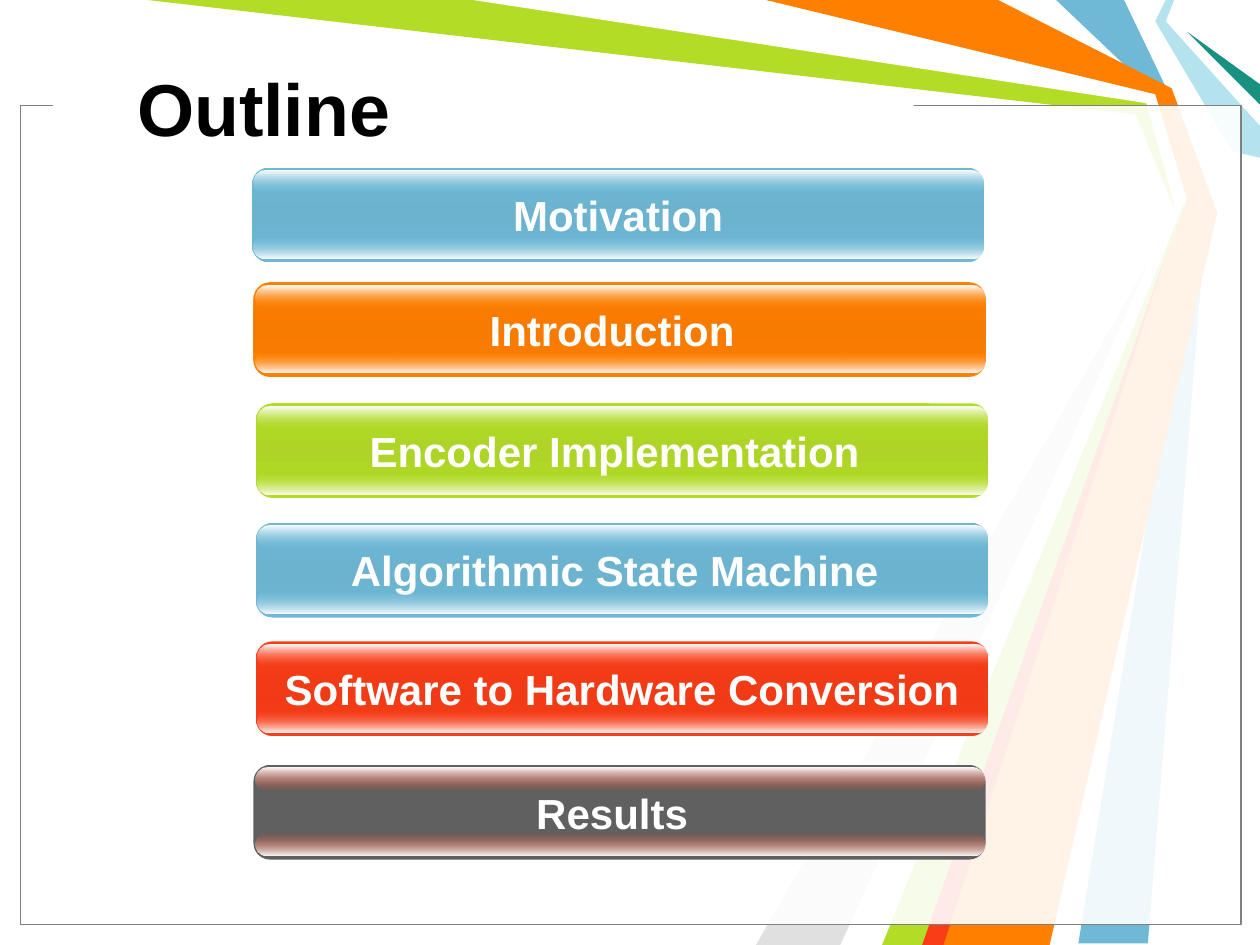
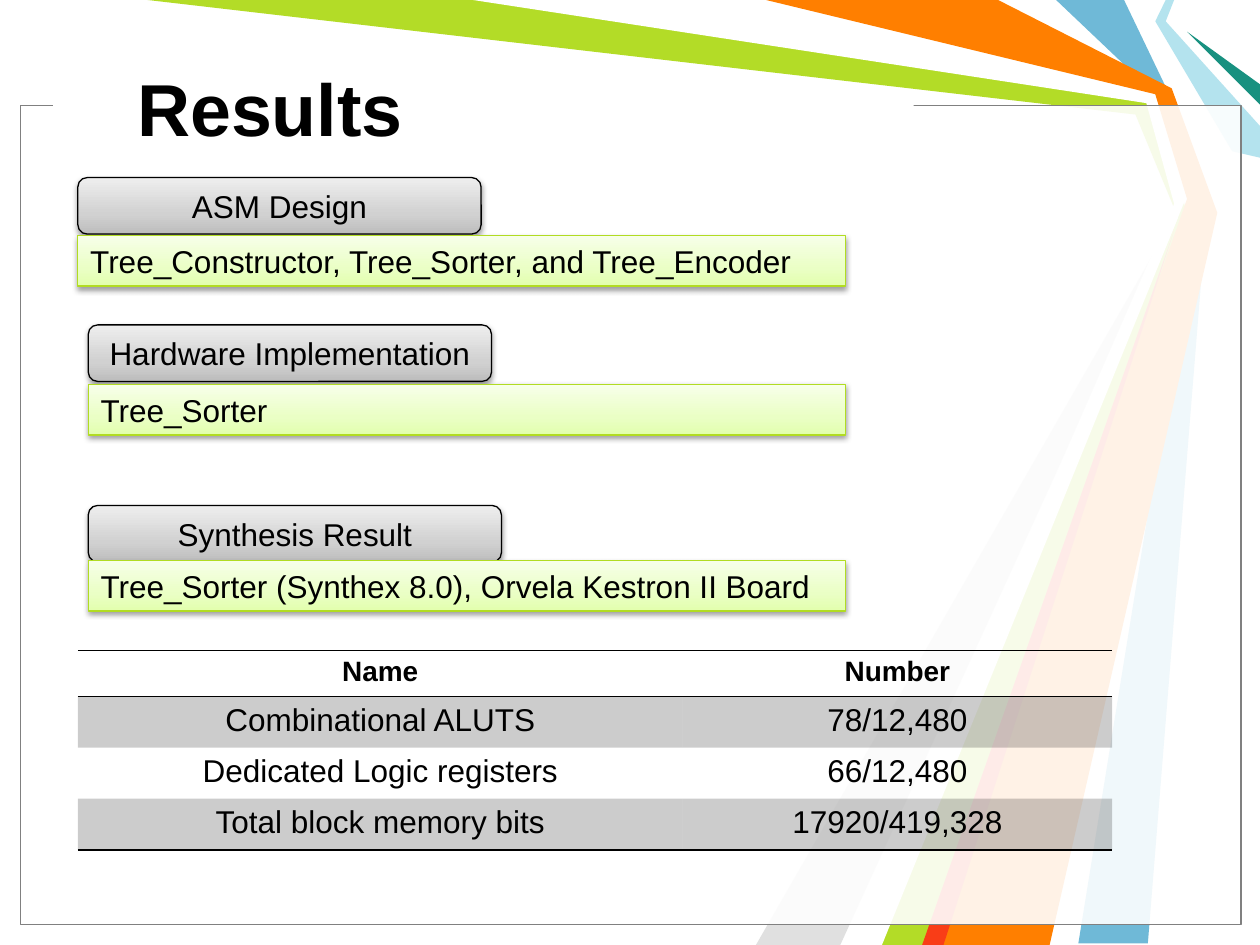
from lxml import etree
from pptx import Presentation
from pptx.dml.color import RGBColor
from pptx.enum import shapes, text
from pptx.oxml.ns import nsdecls, qn
from pptx.util import Cm, Pt

FONT = "Arial"
BLACK = RGBColor(0x00, 0x00, 0x00)
WHITE = RGBColor(0xFF, 0xFF, 0xFF)
GREY = RGBColor(0x80, 0x80, 0x80)
LIGHT_GREY = RGBColor(0xE0, 0xE0, 0xE0)
DARK_GREY = RGBColor(0x60, 0x60, 0x60)
BLUE = RGBColor(0x6F, 0xB9, 0xD7)
BLUE_MID = RGBColor(0x6B, 0xB3, 0xCF)
PALE_BLUE = RGBColor(0xB4, 0xE3, 0xEE)
GREEN = RGBColor(0xB3, 0xDC, 0x27)
GREEN_MID = RGBColor(0xAD, 0xD4, 0x26)
GREEN_LINE = RGBColor(0xB1, 0xDC, 0x22)
TEAL = RGBColor(0x18, 0x91, 0x80)
ORANGE = RGBColor(0xFF, 0x7F, 0x00)
ORANGE_MID = RGBColor(0xF6, 0x7B, 0x00)
RED = RGBColor(0xF9, 0x3D, 0x17)
RED_MID = RGBColor(0xF0, 0x3B, 0x16)
HEAD_STOPS = [(0, RGBColor(0xBD, 0xBD, 0xBD), 100),
              (35, RGBColor(0xD1, 0xD1, 0xD1), 100),
              (100, RGBColor(0xEE, 0xEE, 0xEE), 100)]
BODY_STOPS = [(0, RGBColor(0xE2, 0xFF, 0xAD), 100),
              (35, RGBColor(0xEA, 0xFF, 0xC5), 100),
              (100, RGBColor(0xF7, 0xFF, 0xE9), 100)]

RAYS = [
    (BLUE, [(22.66, 0), (23.6, 1.96), (24.33, 4.24), (23.14, 19.02),
            (21.74, 19.02), (24.13, 4.24), (23.29, 1.9), (21.29, 0)]),
    (GREEN, [(2.97, 0), (9.73, 0), (23.22, 1.98), (23.93, 4.29),
             (18.85, 19.05), (17.58, 19.05), (23.75, 4.39), (22.89, 2.31)]),
    (LIGHT_GREY, [(16.94, 19.05), (23.55, 4.6), (15.24, 19.05)]),
    (WHITE, [(9.53, 0), (23.11, 2.08), (23.67, 4.11), (17.15, 19.05),
             (17.78, 19.05), (23.9, 4.01), (23.29, 1.9), (15.24, 0)]),
    (PALE_BLUE, [(23.5, 0), (23.29, 0.43), (24.84, 3.05), (25.4, 3.18),
                 (25.4, 2.54), (23.5, 0.43), (23.67, 0)]),
    (TEAL, [(25.4, 2.11), (23.93, 0.64), (25.4, 1.7)]),
    (ORANGE, [(15.44, 0), (20.12, 0), (23.62, 1.78), (24.54, 4.29),
              (21.16, 19.05), (18.62, 19.05), (23.93, 4.01), (23.29, 1.9)]),
    (RED, [(18.59, 19.05), (23.67, 4.65), (19.02, 19.05)]),
]

BAR_W, BAR_H, GLOSS_H = 14.76, 1.91, 0.46
BARS = [
    ("Motivation", 5.08, 3.38, BLUE, BLUE_MID, BLUE, 0),
    ("Introduction", 5.11, 5.69, ORANGE, ORANGE_MID, ORANGE, 0.3),
    ("Encoder Implementation", 5.16, 8.13, GREEN, GREEN_MID, GREEN, 0.3),
    ("Algorithmic State Machine", 5.16, 10.54, BLUE, BLUE_MID, BLUE, 0.3),
    ("Software to Hardware Conversion", 5.16, 12.93, RED, RED_MID, RED, 0),
    ("Results", 5.11, 15.42, DARK_GREY, DARK_GREY, RED, 0.3),
]

PANEL_RIGHT = 17.05
PANELS = [
    ("ASM Design", "Tree_Constructor, Tree_Sorter, and Tree_Encoder",
     1.57, 3.58, 8.13, 4.75),
    ("Hardware Implementation", "Tree_Sorter", 1.78, 6.55, 8.13, 7.75),
    ("Synthesis Result", "Tree_Sorter (Synthex 8.0), Orvela Kestron II Board",
     1.78, 10.19, 8.33, 11.3),
]

SYNTHESIS = [
    ("Name", "Number"),
    ("Combinational ALUTS", "78/12,480"),
    ("Dedicated Logic registers", "66/12,480"),
    ("Total block memory bits", "17920/419,328"),
]
COL_WIDTHS = (12.19, 8.66)
ROW_HEIGHTS = (0.93, 1.03, 1.03, 1.03)


def xml(tag, body, attrs=""):
    return etree.fromstring(f'<a:{tag} {nsdecls("a")} {attrs}>{body}</a:{tag}>')


def set_alpha(element, percent):
    color = next(element.iter(qn("a:srgbClr")))
    color.append(xml("alpha", "", f'val="{percent * 1000}"'))


def set_gradient(sp, stops, angle):
    gs = "".join(
        f'<a:gs pos="{pos * 1000}"><a:srgbClr val="{color}">'
        f'<a:alpha val="{alpha * 1000}"/></a:srgbClr></a:gs>'
        for pos, color, alpha in stops)
    sp.fill.background()
    no_fill = sp.element.spPr.find(qn("a:noFill"))
    grad = xml("gradFill", f'<a:gsLst>{gs}</a:gsLst>'
               f'<a:lin ang="{angle * 60000}" scaled="0"/>', 'rotWithShape="1"')
    sp.element.spPr.replace(no_fill, grad)


def set_line(sp, color):
    if color is None:
        sp.line.fill.background()
    else:
        sp.line.color.rgb = color
        sp.line.width = Pt(0.75)


def add_box(slide, kind, left, top, width, height, fill=None, line=None):
    sp = slide.shapes.add_shape(kind, Cm(left), Cm(top), Cm(width), Cm(height))
    sp.shadow.inherit = False
    if fill is not None:
        sp.fill.solid()
        sp.fill.fore_color.rgb = fill
    set_line(sp, line)
    return sp


def write(tf, words, size, color, bold=False, align=text.PP_ALIGN.CENTER):
    p = tf.paragraphs[0]
    p.alignment = align
    r = p.add_run()
    r.text = words
    r.font.name = FONT
    r.font.size = Pt(size)
    r.font.bold = bold
    r.font.color.rgb = color


def add_title(slide, words):
    title = slide.shapes.title
    title.left, title.top = Cm(2.51), Cm(0.56)
    title.width, title.height = Cm(17.5), Cm(3.18)
    title.text_frame.vertical_anchor = text.MSO_ANCHOR.MIDDLE
    write(title.text_frame, words, 42, BLACK, True, text.PP_ALIGN.LEFT)


def decorate_layout(layout, slide):
    art = []
    for color, points in RAYS:
        corners = [(Cm(x), Cm(y)) for x, y in points]
        builder = slide.shapes.build_freeform(*corners[0])
        builder.add_line_segments(corners[1:], close=True)
        ray = builder.convert_to_shape()
        ray.shadow.inherit = False
        ray.fill.solid()
        ray.fill.fore_color.rgb = color
        set_line(ray, None)
        art.append(ray)
    rect = shapes.MSO_SHAPE.RECTANGLE
    frame = add_box(slide, rect, 0.41, 2.13, 24.61, 16.51, WHITE, GREY)
    set_alpha(frame.element.spPr, 90)
    art += [frame, add_box(slide, rect, 1.07, 1.88, 17.35, 0.43, WHITE)]
    for i, sp in enumerate(art):
        layout.shapes.element.insert(2 + i, sp.element)


def add_bar(slide, label, left, top, color, middle, gloss, margin_right):
    rounded = shapes.MSO_SHAPE.ROUNDED_RECTANGLE
    bar = add_box(slide, rounded, left, top, BAR_W, BAR_H)
    bar.adjustments[0] = 0.175
    set_gradient(bar, [(0, color, 100), (50, middle, 100), (100, color, 100)], 90)
    tf = bar.text_frame
    tf.word_wrap = True
    tf.margin_left, tf.margin_right = 0, Cm(margin_right)
    write(tf, label, 24, WHITE, True)
    upper = [(0, WHITE, 100), (100, gloss, 0)]
    lower = [(0, gloss, 0), (100, WHITE, 100)]
    for offset, stops in ((1.37, lower), (0.06, upper)):
        shine = add_box(slide, rounded, left + 0.04, top + offset,
                        BAR_W - 0.06, GLOSS_H)
        shine.adjustments[0] = 0.5
        set_gradient(shine, stops, 90)


def add_panel_box(slide, kind, place, words, stops, line, align):
    sp = add_box(slide, kind, *place, line=line)
    set_gradient(sp, stops, 270)
    sp.element.spPr.find(qn("a:effectLst")).append(xml(
        "outerShdw",
        '<a:srgbClr val="000000"><a:alpha val="38000"/></a:srgbClr>',
        'blurRad="40000" dist="20000" dir="5400000" rotWithShape="0"'))
    sp.text_frame.word_wrap = True
    write(sp.text_frame, words, 18, BLACK, align=align)


def add_panel(slide, head, body, left, head_top, head_width, body_top):
    add_panel_box(slide, shapes.MSO_SHAPE.ROUNDED_RECTANGLE,
                  (left, head_top, head_width, 1.14), head,
                  HEAD_STOPS, BLACK, text.PP_ALIGN.CENTER)
    add_panel_box(slide, shapes.MSO_SHAPE.RECTANGLE,
                  (left, body_top, PANEL_RIGHT - left, 1.02), body,
                  BODY_STOPS, GREEN_LINE, text.PP_ALIGN.LEFT)


def add_border(cell, side):
    line = xml(side, f'<a:solidFill><a:srgbClr val="{BLACK}"/></a:solidFill>',
               'w="12700"')
    cell._tc.get_or_add_tcPr().insert(0, line)


def add_synthesis_table(slide):
    frame = slide.shapes.add_table(
        len(SYNTHESIS), len(COL_WIDTHS), Cm(1.57), Cm(13.11),
        Cm(sum(COL_WIDTHS)), Cm(sum(ROW_HEIGHTS)))
    style = next(frame.element.iter(qn("a:tableStyleId")))
    style.text = "{2D5ABB26-0587-4C30-8999-92F81FD0307C}"
    table = frame.table
    for column, width in zip(table.columns, COL_WIDTHS):
        column.width = Cm(width)
    for i, (values, height) in enumerate(zip(SYNTHESIS, ROW_HEIGHTS)):
        table.rows[i].height = Cm(height)
        for j, value in enumerate(values):
            cell = table.cell(i, j)
            write(cell.text_frame, value, 18 if i else 16, BLACK, i == 0)
            if i % 2:
                cell.fill.solid()
                cell.fill.fore_color.rgb = BLACK
                set_alpha(cell._tc.get_or_add_tcPr(), 20)
            else:
                cell.fill.background()
            if i in (0, len(SYNTHESIS) - 1):
                add_border(cell, "lnB")
            if i == 0:
                add_border(cell, "lnT")


def main():
    prs = Presentation()
    prs.slide_width, prs.slide_height = Cm(25.4), Cm(19.05)
    layout = prs.slide_layouts[5]

    outline = prs.slides.add_slide(layout)
    decorate_layout(layout, outline)
    add_title(outline, "Outline")
    for bar in BARS:
        add_bar(outline, *bar)

    results = prs.slides.add_slide(layout)
    add_title(results, "Results")
    for panel in PANELS:
        add_panel(results, *panel)
    add_synthesis_table(results)

    prs.save("out.pptx")


if __name__ == "__main__":
    main()
